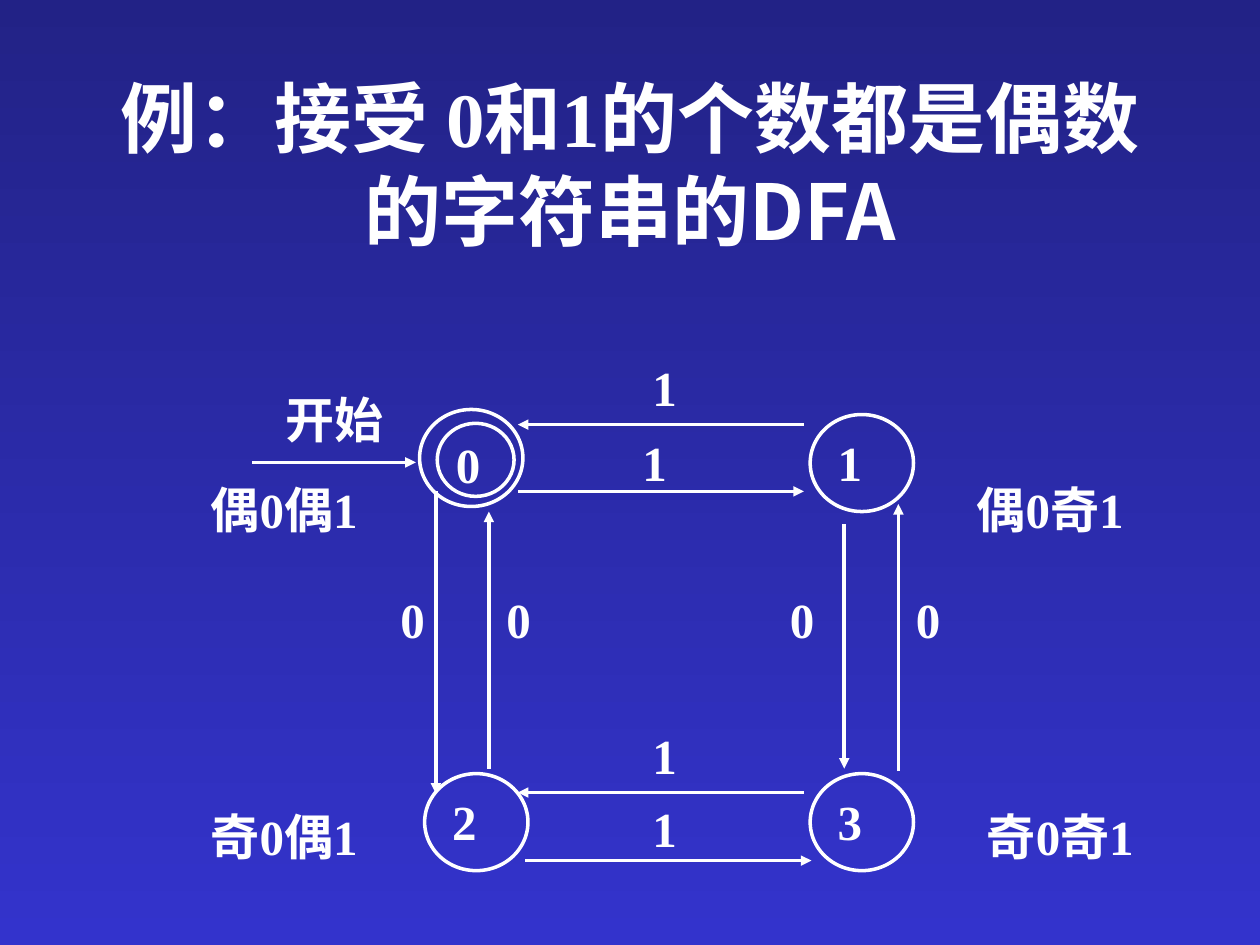
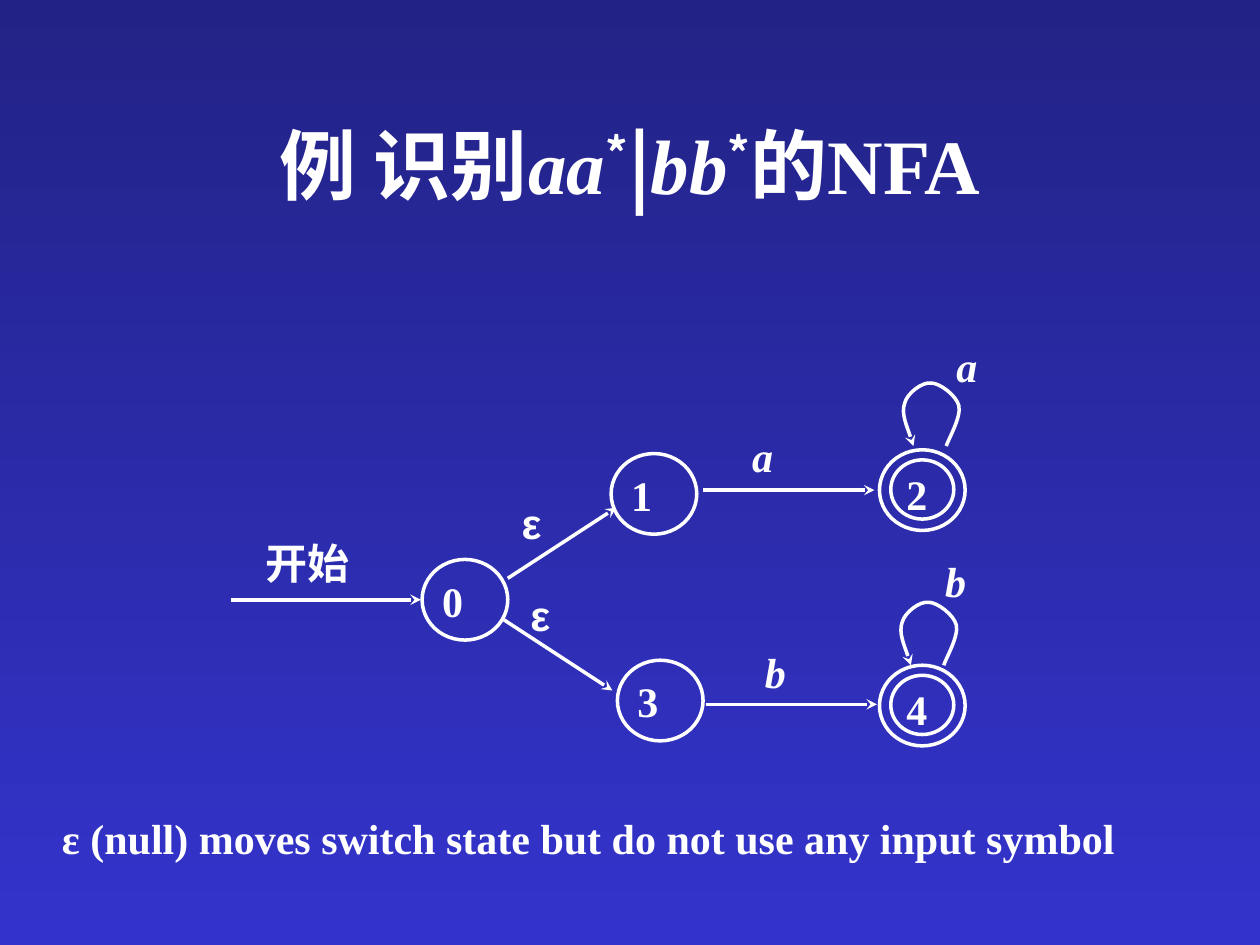
from dataclasses import dataclass

from lxml import etree
from pptx import Presentation
from pptx.dml.color import RGBColor
from pptx.enum.shapes import MSO_CONNECTOR, MSO_SHAPE
from pptx.enum.text import MSO_ANCHOR, PP_ALIGN
from pptx.oxml.ns import qn
from pptx.util import Inches, Pt

LEFT, CENTER = PP_ALIGN.LEFT, PP_ALIGN.CENTER
TOP, MIDDLE = MSO_ANCHOR.TOP, MSO_ANCHOR.MIDDLE
OVAL, STRAIGHT = MSO_SHAPE.OVAL, MSO_CONNECTOR.STRAIGHT


@dataclass(frozen=True)
class Theme:
    ink: RGBColor = RGBColor(0xFF, 0xFF, 0xFF)
    bg_top: RGBColor = RGBColor(0x22, 0x22, 0x86)
    bg_bottom: RGBColor = RGBColor(0x33, 0x33, 0xCC)
    serif: str = "Times New Roman"
    sans: str = "Arial"
    cjk: str = "Noto Sans CJK SC"
    title: int = 44
    large: int = 28
    body: int = 24
    stroke: float = 2


T = Theme()

# The slide is a grid of 100 columns by 75 rows; a box is (left, top, width, height)
WIDTH, HEIGHT, COLUMNS = Inches(10), Inches(7.5), 100
TITLE_BOX = (7.5, 6.7, 85, 12.5)
DFA_BOX = (14, 28, 78, 43)
NFA_BOX = (18, 26, 63, 34)
NOTE_BOX = (4.9, 64.5, 83.6, 4)

# Text insets in inches: left, top, right, bottom
TITLE_INSETS = (0.1, 0.05, 0.1, 0.05)
NO_INSETS = (0, 0, 0, 0)
TIGHT = (0.06, 0.03, 0.06, 0.03)

# Self-loop: a start point followed by three cubic curves
LOOP = [(3.6, 5.1), (3.8, 4.5), (4.8, 2.8), (4.6, 1.9), (4.4, 1.1), (3.1, 0.1),
        (2.4, 0.1), (1.7, 0), (0.5, 0.9), (0.3, 1.7), (0, 2.5), (0.8, 4.4), (1, 5.1)]


def grid(*units):
    return [round(u * WIDTH / COLUMNS) for u in units]


def within(box, x, y, w, h):
    return box[0] + x, box[1] + y, w, h


def set_all(target, **values):
    for name, value in values.items():
        setattr(target, name, value)


def write(sp, runs, size, insets, align=LEFT, anchor=TOP, wrap=True):
    """Fill a shape with runs of (text, font, extra font values)."""
    tf = sp.text_frame
    left, top, right, bottom = map(Inches, insets)
    set_all(tf, margin_left=left, margin_top=top, margin_right=right,
            margin_bottom=bottom, vertical_anchor=anchor, word_wrap=wrap)
    p = tf.paragraphs[0]
    p.alignment = align
    for text, font, extra in runs:
        r = p.add_run()
        r.text = text
        values = dict(extra)
        raised = values.pop("raised", False)
        set_all(r.font, **{"name": font, "size": Pt(size), "bold": True, **values})
        r.font.color.rgb = T.ink
        rpr = r.font._element
        etree.SubElement(rpr, qn("a:ea")).set("typeface", T.cjk)
        if raised:
            rpr.set("baseline", "30000")


def text_box(s, box, runs, size, insets, **layout):
    if isinstance(runs, str):
        runs = [(runs, T.serif, {})]
    write(s.shapes.add_textbox(*grid(*box)), runs, size, insets, **layout)


def stroke(sp, head=None):
    sp.line.color.rgb = T.ink
    sp.line.width = Pt(T.stroke)
    if head:
        ln = sp.element.spPr.get_or_add_ln()
        etree.SubElement(ln, qn("a:tailEnd")).set("type", head)


def circle(s, box):
    sp = s.shapes.add_shape(OVAL, *grid(*box))
    sp.shadow.inherit = False
    sp.fill.background()
    stroke(sp)
    return sp


def state(s, box, name, size, insets, ring=None):
    """A state; an accepting one has its name in an inner ring."""
    sp = circle(s, box)
    if ring:
        sp = circle(s, within(box, *ring))
    write(sp, [(name, T.serif, {})], size, insets)


def arrow(s, box, x1, y1, x2, y2, head):
    left, top = box[:2]
    cxn = s.shapes.add_connector(
        STRAIGHT, *grid(left + x1, top + y1, left + x2, top + y2))
    stroke(cxn, head)
    etree.SubElement(cxn.element.spPr, qn("a:effectLst"))


def self_loop(s, box, x, y, head):
    points = [grid(box[0] + x + dx, box[1] + y + dy) for dx, dy in LOOP]
    builder = s.shapes.build_freeform(*points[0])
    builder.add_line_segments(points[1:], close=False)
    sp = builder.convert_to_shape()
    # Each three line segments become the control points of one curve
    outline = sp.element.find(".//" + qn("a:path"))
    segments = outline.findall(qn("a:lnTo"))
    for i in range(0, len(segments), 3):
        curve = etree.SubElement(outline, qn("a:cubicBezTo"))
        for segment in segments[i:i + 3]:
            curve.append(segment[0])
            outline.remove(segment)
    sp.shadow.inherit = False
    sp.fill.background()
    stroke(sp, head)


def background(prs):
    fill = prs.slide_master.background.fill
    fill.gradient()
    fill.gradient_angle = 270
    for stop, color, position in zip(fill.gradient_stops,
                                     (T.bg_top, T.bg_bottom), (0, 1)):
        stop.color.rgb = color
        stop.position = position


def new_slide(prs, title_runs):
    s = prs.slides.add_slide(prs.slide_layouts[6])
    text_box(s, TITLE_BOX, title_runs, T.title, TITLE_INSETS,
             align=CENTER, anchor=MIDDLE)
    return s


def dfa_diagram(s, box):
    # States
    ring, insets = (1.4, 1.1, 6.1, 5.8), (0.1, 0.03, 0.1, 0.05)
    state(s, within(box, 19.3, 4.5, 8.2, 7.7), "0", T.large,
          (0.06, 0, 0.04, 0), ring)
    for name, x, y in [("1", 50.3, 4.9), ("2", 19.7, 33.4), ("3", 50.3, 33.4)]:
        state(s, within(box, x, y, 8.2, 7.7), name, T.large, insets)

    # Transitions: start, horizontal pairs, vertical pairs
    for ends in [(6, 8.7, 19, 8.7),
                 (27.1, 11, 49.8, 11), (49.8, 5.7, 27.1, 5.7),
                 (49.8, 34.9, 27.1, 34.9), (27.7, 40.3, 50.4, 40.3),
                 (20.6, 11, 20.6, 35), (24.8, 33, 24.8, 12.6),
                 (53, 13.6, 53, 33), (57.3, 33.2, 57.3, 12)]:
        arrow(s, box, *ends, "triangle")

    # Transition labels
    labels = [("开始", 7.7, 2.8, 16.2)]
    labels += [("1", x, y, 6.5) for x, y in
               [(36.8, 0.3), (36, 6.2), (36.8, 29.5), (36.8, 35.3)]]
    labels += [("0", x, 18.7, 9.7) for x in (16.8, 25.2, 47.7, 57.7)]
    for text, x, y, w in labels:
        text_box(s, within(box, x, y, w, 5.3), text, T.large,
                 (0.1, 0.01, 0.1, 0.05))

    # Meaning of each state
    for text, x, y in [("偶0偶1", 0.2, 7.8), ("偶0奇1", 61, 7.8),
                       ("奇0偶1", 0.2, 33.7), ("奇0奇1", 61.8, 33.7)]:
        text_box(s, within(box, x, y, 16.7, 9.2), text, T.large, TIGHT,
                 align=CENTER, anchor=MIDDLE, wrap=False)


def nfa_diagram(s, box):
    # States
    plain, accepting = (0.06, 0.03, 0.02, 0.05), (0.05, 0, 0.01, 0)
    ring = (0.9, 0.8, 5, 4.7)
    for name, x, y, insets, inner in [
            ("0", 15.5, 18.4, plain, None), ("1", 30.5, 10, plain, None),
            ("3", 31, 26.4, plain, None), ("2", 51.8, 9.7, accepting, ring),
            ("4", 51.8, 26.8, accepting, ring)]:
        state(s, within(box, x, y, 6.8, 6.4), name, T.body, insets, inner)

    # Transitions
    for ends in [(0.3, 21.6, 15.4, 21.6), (22.3, 19.9, 30.9, 14.3),
                 (22, 23.2, 30.6, 28.8), (37.8, 12.9, 51.4, 12.9),
                 (38, 29.9, 51.6, 29.9)]:
        arrow(s, box, *ends, "stealth")
    for x, y in [(53.5, 4.3), (53.3, 21.7)]:
        self_loop(s, box, x, y, "stealth")

    # Transition labels
    text_box(s, within(box, 2.5, 16.4, 11, 6), "开始", T.body, TIGHT)
    italic = {"italic": True}
    for text, x, y, font, extra in [
            ("a", 41.1, 7.9, T.serif, italic), ("a", 57.3, 0.7, T.serif, italic),
            ("b", 42.1, 25, T.serif, italic), ("b", 56.4, 17.8, T.serif, italic),
            ("ε", 22.8, 13.2, T.sans, {}), ("ε", 23.5, 20.5, T.sans, {})]:
        text_box(s, within(box, x, y, 5.5, 5.1), [(text, font, extra)],
                 T.body, TIGHT)


def dfa_slide(prs):
    s = new_slide(prs, [
        ("例：接受 ", T.cjk, {}), ("0", T.serif, {}), ("和", T.cjk, {}),
        ("1", T.serif, {}), ("的个数都是偶数的字符串的DFA", T.cjk, {})])
    dfa_diagram(s, DFA_BOX)


def nfa_slide(prs):
    italic, star = {"italic": True}, ("*", T.cjk, {"raised": True})
    s = new_slide(prs, [
        ("例 识别", T.cjk, {}), ("aa", T.serif, italic), star, ("|", T.cjk, {}),
        ("bb", T.serif, italic), star, ("的", T.cjk, {}), ("NFA", T.serif, {})])
    nfa_diagram(s, NFA_BOX)
    text_box(s, NOTE_BOX,
             "ε (null) moves switch state but do not use any input symbol",
             T.body, NO_INSETS, align=CENTER, wrap=False)


def main():
    prs = Presentation()
    prs.slide_width, prs.slide_height = WIDTH, HEIGHT
    background(prs)
    dfa_slide(prs)
    nfa_slide(prs)
    prs.save("out.pptx")


if __name__ == "__main__":
    main()
